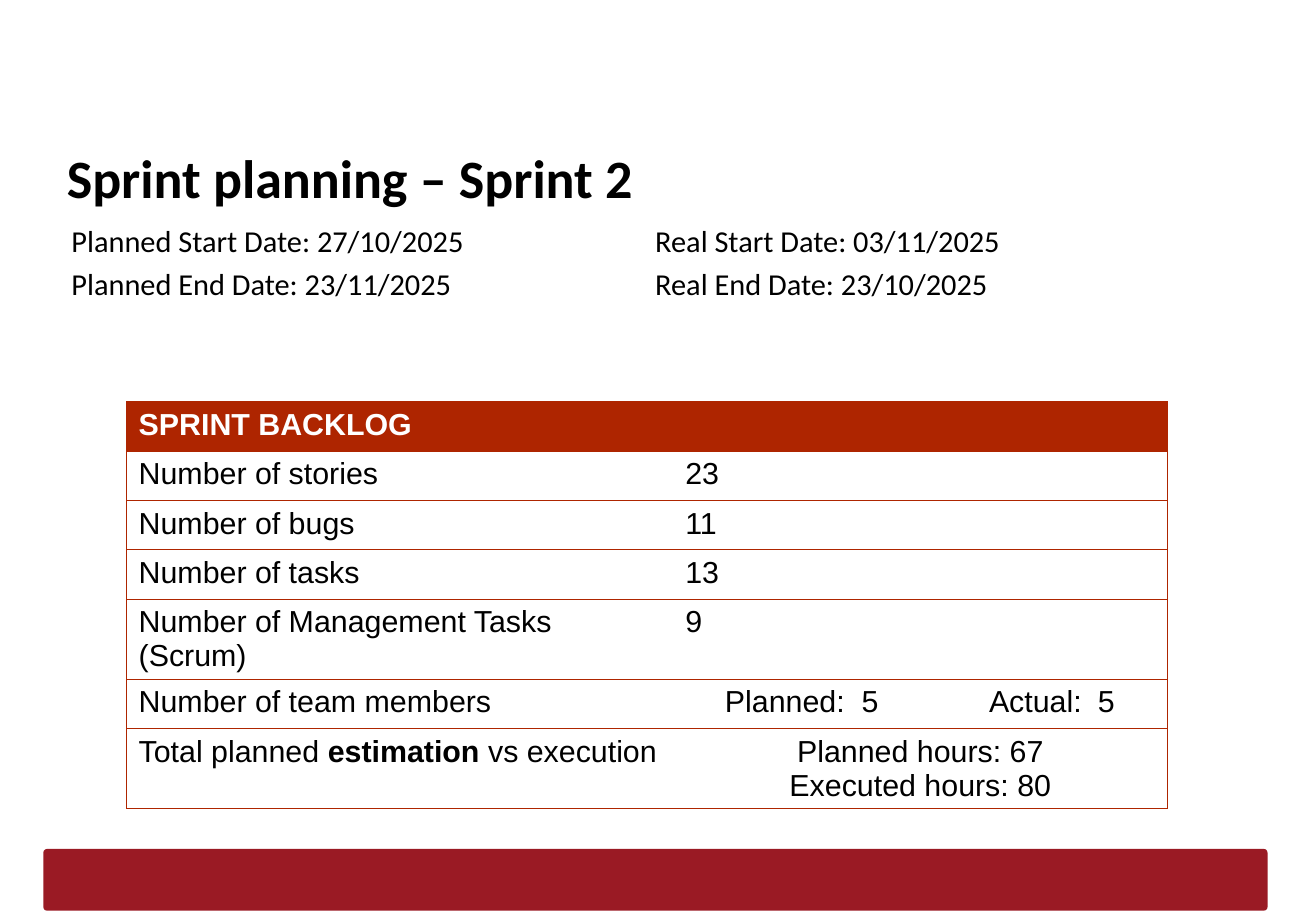
from dataclasses import dataclass

from lxml import etree
from pptx import Presentation
from pptx.dml.color import RGBColor
from pptx.enum import shapes, text
from pptx.oxml.ns import qn
from pptx.util import Pt


@dataclass(frozen=True)
class Theme:
    bar: str = "9A1A24"
    accent: str = "AE2500"
    ink: str = "000000"
    paper: str = "FFFFFF"
    heading_font: str = "Calibri"
    table_font: str = "Arial"
    title_size: float = 32
    body_size: float = 18
    border: float = 0.75


T = Theme()

DATES = [
    "Planned Start Date: 27/10/2025\tReal Start Date: 03/11/2025",
    "Planned End Date: 23/11/2025\tReal End Date: 23/10/2025",
]
BACKLOG = [
    ("Number of stories", "23"),
    ("Number of bugs", "11"),
    ("Number of tasks", "13"),
    ("Number of Management Tasks (Scrum)", "9"),
]
COLUMNS = (324, 293)
ROW_HEIGHT = 29.2


def add_run(p, words, font, size, color=T.ink, bold=False):
    r = p.add_run()
    r.text = words
    r.font.name, r.font.size, r.font.bold = font, Pt(size), bold
    r.font.color.rgb = RGBColor.from_string(color)


def add_tabs(p, *stops):
    tabs = etree.SubElement(p._p.get_or_add_pPr(), qn("a:tabLst"))
    for stop in stops:
        etree.SubElement(tabs, qn("a:tab"), pos=str(Pt(stop)), algn="l")


def add_bar(s, left, top, width, height):
    sp = s.shapes.add_shape(shapes.MSO_SHAPE.ROUNDED_RECTANGLE,
                            Pt(left), Pt(top), Pt(width), Pt(height))
    sp.adjustments[0] = 0.06
    sp.shadow.inherit = False
    sp.fill.solid()
    sp.fill.fore_color.rgb = RGBColor.from_string(T.bar)
    sp.line.fill.background()


def set_title(s, words):
    sp = s.shapes.title
    sp.left, sp.top, sp.width, sp.height = Pt(32.4), Pt(78.5), Pt(712), Pt(45.4)
    tf = sp.text_frame
    tf.margin_left = tf.margin_right = tf.margin_top = tf.margin_bottom = Pt(7.2)
    tf.vertical_anchor = text.MSO_ANCHOR.TOP
    tf.auto_size = text.MSO_AUTO_SIZE.NONE
    p = tf.paragraphs[0]
    p.alignment = text.PP_ALIGN.LEFT
    add_run(p, words, T.heading_font, T.title_size, bold=True)


def add_dates(s, lines):
    tf = s.shapes.add_textbox(Pt(35.3), Pt(128.2), Pt(712), Pt(56)).text_frame
    tf.word_wrap = True
    for i, line in enumerate(lines):
        p = tf.add_paragraph() if i else tf.paragraphs[0]
        p.space_after = Pt(4)
        add_tabs(p, 346)
        add_run(p, line, T.heading_font, T.body_size)


def set_borders(cell, open_side):
    tcPr = cell._tc.get_or_add_tcPr()
    for side in "LRTB":
        ln = etree.SubElement(tcPr, qn("a:ln" + side), w=str(Pt(T.border)))
        if side == open_side:
            etree.SubElement(ln, qn("a:noFill"))
        else:
            fill = etree.SubElement(ln, qn("a:solidFill"))
            etree.SubElement(fill, qn("a:srgbClr"), val=T.accent)


def cell_run(p, words, color=T.ink, bold=False):
    add_run(p, words, T.table_font, T.body_size, color, bold)


def add_backlog(s):
    rows = len(BACKLOG) + 3
    table = s.shapes.add_table(rows, 2, Pt(75), Pt(238.3), Pt(sum(COLUMNS)),
                               Pt(rows * ROW_HEIGHT)).table
    table.horz_banding = False
    for column, width in zip(table.columns, COLUMNS):
        column.width = Pt(width)
    for i, row in enumerate(table.rows):
        row.height = Pt(ROW_HEIGHT)
        for cell, open_side in zip(row.cells, "RL"):
            set_borders(cell, open_side)
            cell.fill.solid()
            cell.fill.fore_color.rgb = RGBColor.from_string(T.paper if i else T.accent)

    # Header and counts
    def first(row, column):
        return table.cell(row, column).text_frame.paragraphs[0]

    cell_run(first(0, 0), "SPRINT BACKLOG", T.paper, True)
    for i, pair in enumerate(BACKLOG, 1):
        for j, words in enumerate(pair):
            cell_run(first(i, j), words)

    # Team members, set on tab stops
    members, total = rows - 2, rows - 1
    cell_run(first(members, 0), "Number of team members")
    table.cell(members, 1).margin_left = Pt(30.7)
    p = first(members, 1)
    add_tabs(p, 81, 156.5, 221)
    cell_run(p, "Planned:\t5\tActual:\t5")

    # Hours
    for words, bold in (("Total planned ", False), ("estimation", True),
                        (" vs execution", False)):
        cell_run(first(total, 0), words, bold=bold)
    tf = table.cell(total, 1).text_frame
    for p, words in ((tf.paragraphs[0], "Planned hours: 67"),
                     (tf.add_paragraph(), "Executed hours: 80")):
        p.alignment = text.PP_ALIGN.CENTER
        cell_run(p, words)


def main():
    prs = Presentation()
    prs.slide_width, prs.slide_height = Pt(780), Pt(540)
    s = prs.slides.add_slide(prs.slide_layouts[5])
    add_bar(s, 25.7, 503.2, 725.6, 36.6)
    set_title(s, "Sprint planning – Sprint 2")
    add_backlog(s)
    add_dates(s, DATES)
    prs.save("out.pptx")


if __name__ == "__main__":
    main()
